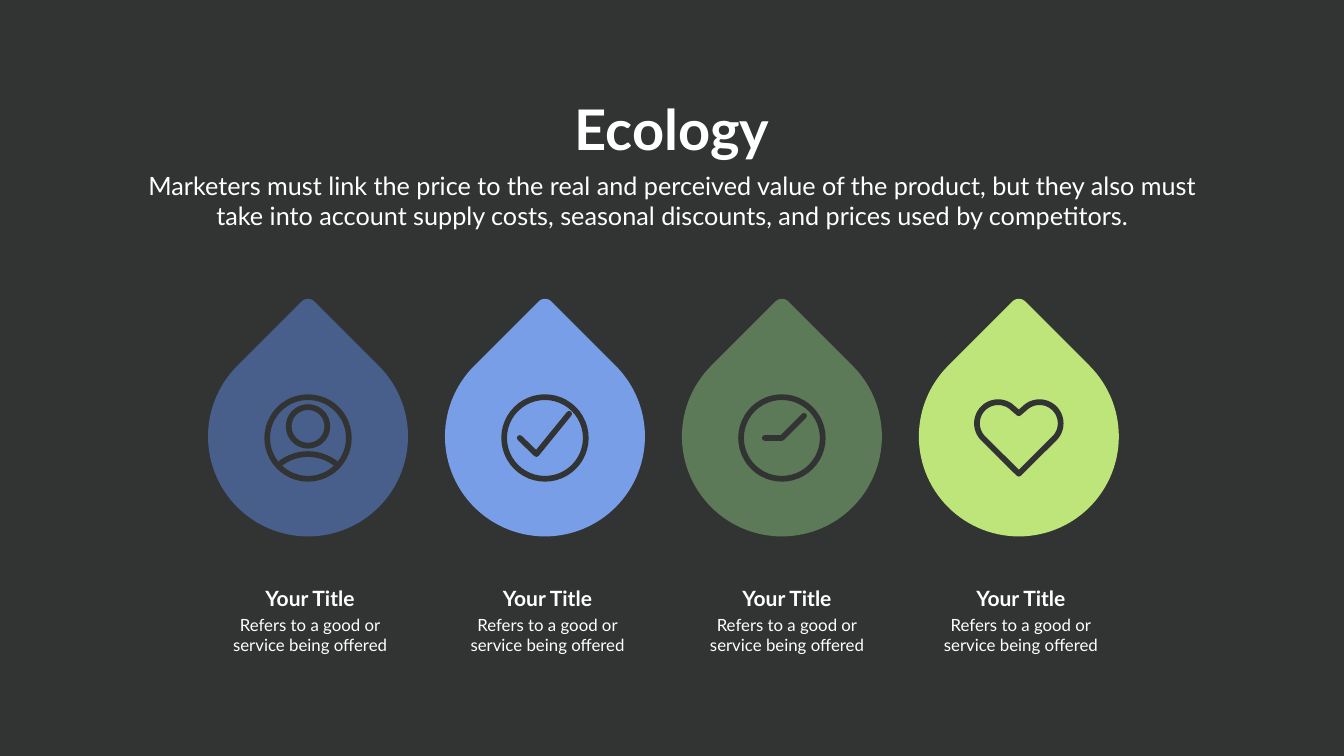
from dataclasses import dataclass
from math import cos, radians, sin, sqrt

from lxml.etree import SubElement
from pptx import Presentation
from pptx.dml.color import RGBColor as RGB
from pptx.enum.shapes import MSO_SHAPE as Preset
from pptx.enum.text import MSO_ANCHOR as Anchor, MSO_AUTO_SIZE as AutoSize, PP_ALIGN as Align
from pptx.oxml.ns import qn
from pptx.util import Inches, Length, Pt


@dataclass(frozen=True)
class Theme:
    font: str = "Lato"
    ground: str = "323434"
    text: str = "FEFFFF"
    drops: tuple = ("485F8B", "789EE7", "5C7958", "BDE579")
    title_size: Length = Pt(80)
    intro_size: Length = Pt(36)
    label_size: Length = Pt(30)
    body_size: Length = Pt(24)


# The page is a grid of 80 columns by 45 rows
MODULE = Inches(15) / 45
MIDDLE = 40

# Drops and icons, in grid modules
FIRST_DROP, DROP_STEP, DROP_ROW = 18.33, 14.1, 25.98
DROP_RADIUS, TIP_RADIUS = 5.95, 0.54
ICON_ROW, RING_RADIUS, STROKE = 26.07, 2.6, 0.34

# Captions
LABEL_CENTRES = (18.45, 32.58, 46.83, 60.75)
LABEL = "Your Title"
BODY = ("Refers to a good or", "service being offered")
INTRO = ("Marketers must link the price to the real and perceived value of the product, "
         "but they also must take into account supply costs, seasonal discounts, "
         "and prices used by competitors.")


def grid(modules):
    return Length(round(modules * MODULE))


def arc(x, y, radius, start, stop, step=3):
    """Points along a circle, clockwise from start to stop in degrees."""
    count = round((stop - start) / step)
    angles = [radians(start + (stop - start) * i / count) for i in range(count + 1)]
    return [(x + radius * cos(a), y + radius * sin(a)) for a in angles]


class Slide:
    def __init__(self, deck, theme):
        self.theme = theme
        self.page = deck.slides.add_slide(deck.slide_layouts[5])
        self.page.background.fill.solid()
        self.page.background.fill.fore_color.rgb = RGB.from_string(theme.ground)

    def set_text(self, box, lines, size, bold=False):
        frame = box.text_frame
        frame.word_wrap = True
        frame.auto_size = AutoSize.NONE
        frame.vertical_anchor = Anchor.TOP
        frame.text = "\n".join(lines)
        for para in frame.paragraphs:
            para.alignment = Align.CENTER
            para.font.name = self.theme.font
            para.font.size = size
            para.font.bold = bold
            para.font.color.rgb = RGB.from_string(self.theme.text)

    def title(self, text, centre, top, width, height):
        box = self.page.shapes.title
        box.left, box.top = grid(centre - width / 2), grid(top)
        box.width, box.height = grid(width), grid(height)
        self.set_text(box, [text], self.theme.title_size, bold=True)

    def text(self, lines, centre, top, width, height, size, bold=False):
        box = self.page.shapes.add_textbox(
            grid(centre - width / 2), grid(top), grid(width), grid(height))
        self.set_text(box, lines, size, bold)

    def outline(self, points, x, y, closed):
        spots = [(grid(x + dx), grid(y + dy)) for dx, dy in points]
        builder = self.page.shapes.build_freeform(*spots[0])
        builder.add_line_segments(spots[1:], close=closed)
        shape = builder.convert_to_shape()
        shape.shadow.inherit = False
        return shape

    def paint(self, shape, color):
        shape.fill.solid()
        shape.fill.fore_color.rgb = RGB.from_string(color)
        shape.line.fill.background()

    def drop(self, x, y, color):
        tip = -sqrt(2) * (DROP_RADIUS - TIP_RADIUS)
        points = arc(0, 0, DROP_RADIUS, -45, 225) + arc(0, tip, TIP_RADIUS, 225, 315)
        self.paint(self.outline(points, x, y, closed=True), color)

    def ring(self, x, y, radius):
        ring = self.page.shapes.add_shape(
            Preset.DONUT, grid(x - radius), grid(y - radius), grid(2 * radius), grid(2 * radius))
        ring.adjustments[0] = STROKE / (2 * radius)
        ring.shadow.inherit = False
        self.paint(ring, self.theme.ground)

    def stroke(self, points, x, y, closed=False):
        shape = self.outline(points, x, y, closed)
        shape.fill.background()
        shape.line.color.rgb = RGB.from_string(self.theme.ground)
        shape.line.width = grid(STROKE)
        line = shape.element.spPr.find(qn("a:ln"))
        line.set("cap", "rnd")
        SubElement(line, qn("a:round"))

    # Icons, each drawn around its centre
    def person(self, x, y):
        self.ring(x, y, RING_RADIUS)
        self.stroke(arc(0, 3.66, 2.7, 233, 307), x, y)
        self.ring(x, y - 0.69, 1.32)

    def check(self, x, y):
        self.ring(x, y, RING_RADIUS)
        self.stroke([(-1.5, 0), (-0.51, 0.96), (1.44, -1.44)], x, y)

    def clock(self, x, y):
        self.ring(x, y, RING_RADIUS)
        self.stroke([(-1.02, 0), (0, 0), (1.32, -1.32)], x, y)

    def heart(self, x, y):
        left = arc(-1.23, -0.87, 1.26, 135, 315)
        right = arc(1.23, -0.87, 1.26, 225, 405)
        self.stroke([*left, (0, -1.47), *right, (0, 2.13)], x, y, closed=True)


def main():
    deck = Presentation()
    deck.slide_width, deck.slide_height = Inches(26.66), Inches(15)
    theme = Theme()
    slide = Slide(deck, theme)

    # Heading
    slide.title("Ecology", MIDDLE, 5.49, 12.75, 4.35)
    slide.text([INTRO], MIDDLE, 10, 63.9, 3.93, theme.intro_size)

    # Drops with icons and captions
    icons = (slide.person, slide.check, slide.clock, slide.heart)
    for i, (color, icon, centre) in enumerate(zip(theme.drops, icons, LABEL_CENTRES)):
        x = FIRST_DROP + i * DROP_STEP
        slide.drop(x, DROP_ROW, color)
        icon(x, ICON_ROW)
        slide.text([LABEL], centre, 34.7, 6.72, 2.13, theme.label_size, bold=True)
        slide.text(BODY, centre, 36.42, 10.23, 3.12, theme.body_size)

    deck.save("out.pptx")


if __name__ == "__main__":
    main()
